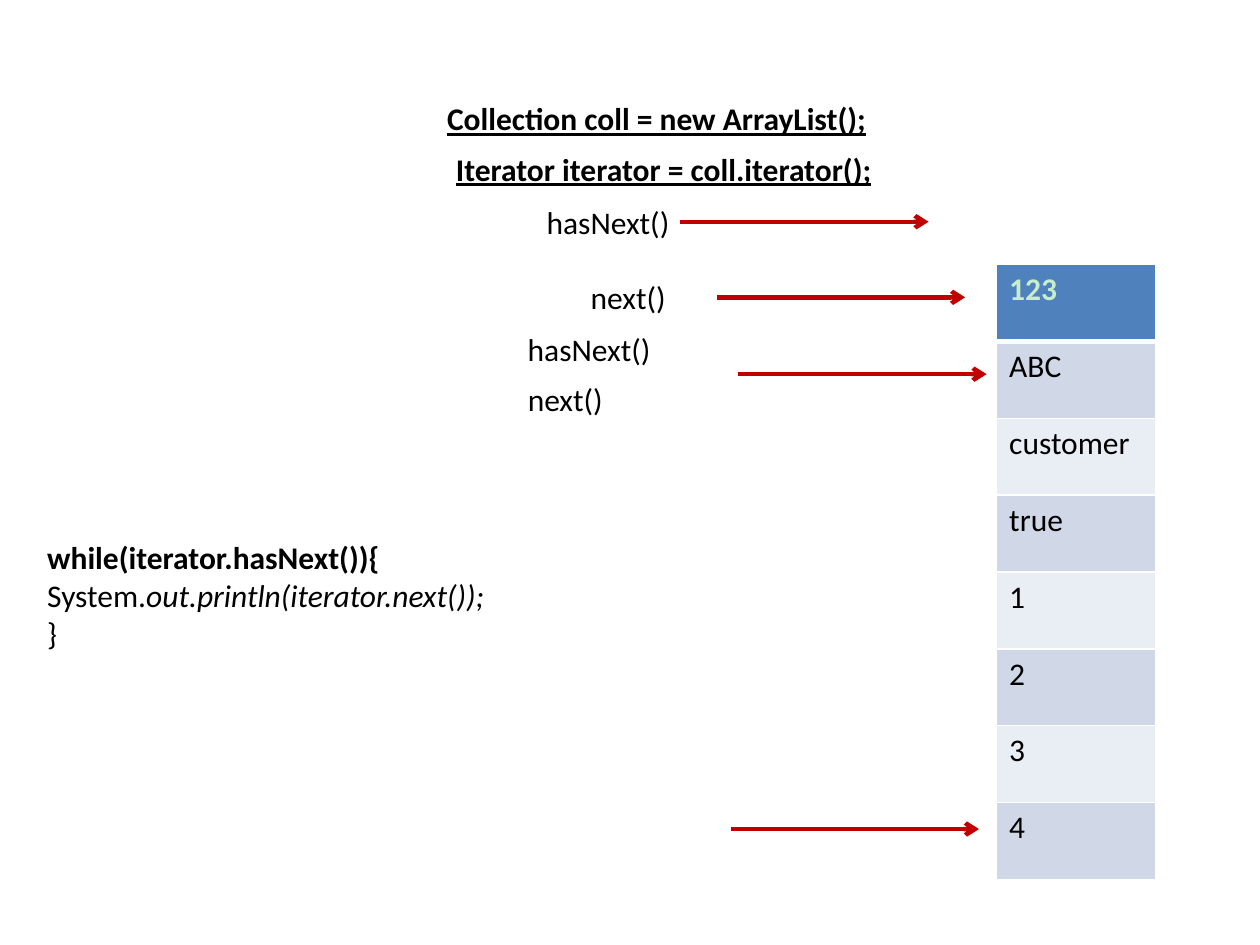
from lxml.etree import SubElement
from pptx import Presentation
from pptx.dml.color import RGBColor
from pptx.enum.shapes import MSO_CONNECTOR
from pptx.enum.text import MSO_AUTO_SIZE
from pptx.oxml.ns import qn
from pptx.util import Inches, Pt

COLORS = {"paper": "FFFFFF", "ink": "000000", "arrow": "C00000", "header": "4F81BD",
          "header_text": "C7EDCC", "odd": "D0D8E8", "even": "E9EDF4"}
VALUES = ["123", "ABC", "customer", "true", "1", "2", "3", "4"]
DECLARATIONS = [("Collection coll = new ArrayList();", 0, 0),
                ("Iterator iterator = coll.iterator();", 0.07, 0.4)]
CALLS = [("hasNext()", 0.15, 0, 1.5), ("next()", 0.5, 0.6, 1.14),
         ("hasNext()", 0, 1.01, 1.5), ("next()", 0, 1.41, 1.28)]
ARROWS = [(0, 0), (0.29, 0.6), (0.46, 1.21), (0.4, 4.82)]
LOOP = [[(" while(iterator.hasNext()){", {"bold": True})],
        [(" System.", {}), ("out.println(iterator.next());", {"italic": True})],
        [(" }", {})]]


def color(name):
    """Return the named palette colour."""
    return RGBColor.from_string(COLORS[name])


def add_run(p, text, ink="ink", bold=False, italic=False, underline=False):
    """Append a formatted run to a paragraph."""
    r = p.add_run()
    r.text = text
    font = r.font
    font.name, font.size = "Calibri", Pt(18)
    font.bold, font.italic, font.underline = bold, italic, underline
    font.color.rgb = color(ink)


def add_text(slide, lines, left, top, width, height, wrap=True):
    """Add a text box from lines of (text, format) runs."""
    sp = slide.shapes.add_textbox(Inches(left), Inches(top), Inches(width), Inches(height))
    tf = sp.text_frame
    tf.word_wrap = wrap
    tf.auto_size = MSO_AUTO_SIZE.SHAPE_TO_FIT_TEXT
    for i, runs in enumerate(lines):
        p = tf.add_paragraph() if i else tf.paragraphs[0]
        for text, style in runs:
            add_run(p, text, **style)


def add_declarations(slide, left, top, width, height):
    """Place the two underlined declarations."""
    style = {"bold": True, "underline": True}
    for text, dx, dy in DECLARATIONS:
        add_text(slide, [[(text, style)]], left + dx, top + dy, width, height, wrap=False)


def add_calls(slide, left, top, height):
    """Place the iterator method calls."""
    for text, dx, dy, width in CALLS:
        add_text(slide, [[(text, {})]], left + dx, top + dy, width, height)


def add_arrows(slide, left, top, length):
    """Place the equally long cursor arrows."""
    for dx, dy in ARROWS:
        x, y = left + dx, top + dy
        line = slide.shapes.add_connector(
            MSO_CONNECTOR.STRAIGHT, Inches(x), Inches(y), Inches(x + length), Inches(y))
        line.line.color.rgb = color("arrow")
        line.line.width = Pt(2.5)
        SubElement(line.line._get_or_add_ln(), qn("a:tailEnd"), type="arrow")
        SubElement(line._element.spPr, qn("a:effectLst"))


def set_borders(cell, **widths):
    """Draw cell borders with the given widths in points."""
    tcPr = cell._tc.get_or_add_tcPr()
    for i, (side, width) in enumerate(widths.items()):
        ln = tcPr.makeelement(qn(f"a:{side}"), {"w": str(Pt(width))})
        fill = SubElement(ln, qn("a:solidFill"))
        SubElement(fill, qn("a:srgbClr"), val=COLORS["paper"])
        tcPr.insert(i, ln)


def add_collection(slide, left, top, width, height):
    """Place the one-column table of collection elements."""
    table = slide.shapes.add_table(len(VALUES), 1, Inches(left), Inches(top),
                                   Inches(width), Inches(height)).table
    for i, value in enumerate(VALUES):
        table.rows[i].height = Inches(height / len(VALUES))
        cell = table.cell(i, 0)
        band = "odd" if i % 2 else "even"
        cell.fill.solid()
        cell.fill.fore_color.rgb = color(band if i else "header")
        add_run(cell.text_frame.paragraphs[0], value,
                ink="ink" if i else "header_text", bold=i == 0)
        set_borders(cell, lnL=1, lnR=1, lnT=3 if i == 1 else 1, lnB=1 if i else 3)


def main():
    """Build and save the slide."""
    prs = Presentation()
    prs.slide_width, prs.slide_height = Inches(10), Inches(7.5)
    slide = prs.slides.add_slide(prs.slide_layouts[6])
    slide.background.fill.solid()
    slide.background.fill.fore_color.rgb = color("paper")
    add_collection(slide, 7.91, 2.1, 1.26, 4.88)
    add_arrows(slide, 5.4, 1.76, 1.97)
    add_calls(slide, 4.09, 1.56, 0.4)
    add_declarations(slide, 3.45, 0.74, 3.53, 0.4)
    add_text(slide, LOOP, 0.22, 4.22, 5, 1.01)
    prs.save("out.pptx")


if __name__ == "__main__":
    main()
